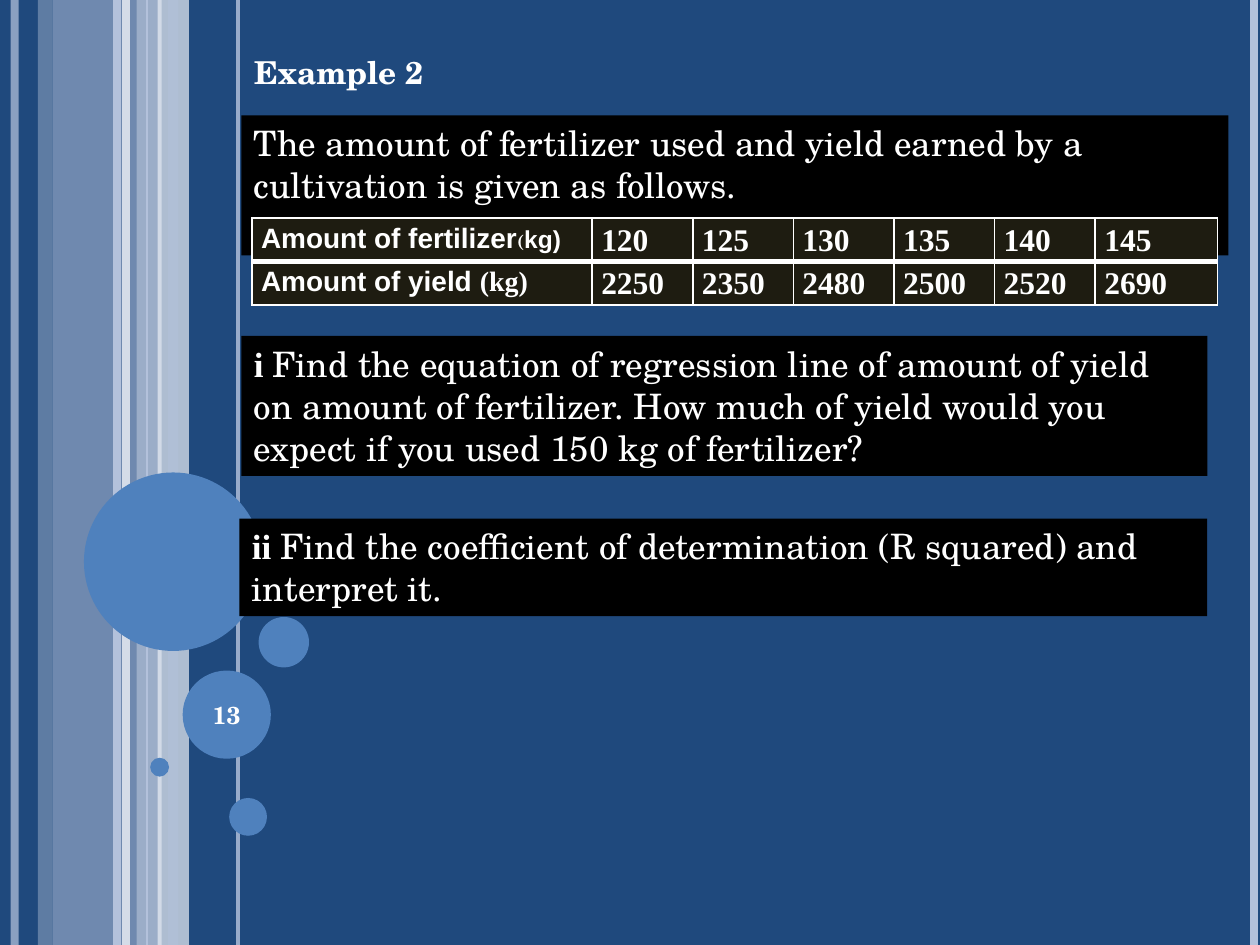
"""Build the regression exercise slide about fertilizer and yield."""
from lxml.etree import SubElement
from pptx import Presentation
from pptx.dml.color import RGBColor
from pptx.enum.shapes import MSO_CONNECTOR, MSO_SHAPE
from pptx.enum.text import MSO_ANCHOR, MSO_AUTO_SIZE, PP_ALIGN
from pptx.oxml.ns import qn
from pptx.util import Pt

NAVY = RGBColor(0x1F, 0x49, 0x7D)
BLUE = RGBColor(0x4F, 0x81, 0xBD)
MIST = RGBColor(0xB3, 0xC1, 0xDB)
PALE = RGBColor(0xD0, 0xD8, 0xE8)
ICE = RGBColor(0xE9, 0xED, 0xF4)
WHITE = RGBColor(0xFF, 0xFF, 0xFF)
BLACK = RGBColor(0, 0, 0)
CELL = RGBColor(0x1E, 0x1C, 0x11)
SERIF, SANS, TIMES = "TeX Gyre Schola", "Arial", "Times New Roman"
HEIGHT = 540


def set_opacity(shape, percent):
    color = shape._element.spPr.find(".//" + qn("a:srgbClr"))
    SubElement(color, qn("a:alpha"), val=str(percent * 1000))


def add_plain_shape(kind, left, top, width, height, color):
    shape = page.shapes.add_shape(kind, Pt(left), Pt(top), Pt(width), Pt(height))
    shape.shadow.inherit = False
    shape.fill.solid()
    shape.fill.fore_color.rgb = color
    shape.line.fill.background()
    return shape


deck = Presentation()
deck.slide_width, deck.slide_height = Pt(720), Pt(HEIGHT)
page = deck.slides.add_slide(deck.slide_layouts[5])
page.background.fill.solid()
page.background.fill.fore_color.rgb = NAVY

bands = [(30, 48, MIST, 54), (21.6, 8.2, PALE, 36), (78, 14.4, PALE, 70),
         (90, 18, ICE, 71), (96, 6, MIST, 51)]
for left, width, color, opacity in bands:
    band = add_plain_shape(MSO_SHAPE.RECTANGLE, left, 0, width, HEIGHT, color)
    set_opacity(band, opacity)

stripes = [(8.4, 4.5, MIST, 73), (72, 4.5, ICE, 83), (67, 4.5, MIST, 100),
           (136, 2.25, MIST, 82), (84, 0.75, MIST, 100), (716.4, 4.5, MIST, 100)]
for x, weight, color, opacity in stripes:
    stripe = page.shapes.add_connector(MSO_CONNECTOR.STRAIGHT, Pt(x), Pt(0), Pt(x), Pt(HEIGHT))
    stripe.line.width = Pt(weight)
    stripe.line.color.rgb = color
    set_opacity(stripe, opacity)
    SubElement(stripe._element.spPr, qn("a:effectLst"))

circles = [(48, 270, 102), (104.4, 383.2, 50.4), (85.8, 433, 10.8),
           (131, 456, 21.6), (147.8, 352.6, 28.8)]
for left, top, size in circles:
    add_plain_shape(MSO_SHAPE.OVAL, left, top, size, size, BLUE)

number_box = page.shapes.add_textbox(Pt(105.6), Pt(388), Pt(48), Pt(41))
number_box.text_frame.word_wrap = True
number_box.text_frame.vertical_anchor = MSO_ANCHOR.MIDDLE
number = number_box.text_frame.paragraphs[0]
number.text = "13"
number.alignment = PP_ALIGN.CENTER
number.font.name, number.font.size = SERIF, Pt(14)
number.font.bold, number.font.color.rgb = True, WHITE

panels = [
    (138, 66, 564, 80, "",
     "The amount of fertilizer used and yield earned by a cultivation is given as follows."),
    (138, 192, 552, 80, "i ",
     "Find the equation of regression line of amount of yield on amount of fertilizer. "
     "How much of yield would you expect if you used 150 kg of fertilizer?"),
    (136.8, 296.4, 553, 55.7, "ii ",
     "Find the coefficient of determination (R squared) and interpret it."),
]
for left, top, width, height, label, text in panels:
    panel = add_plain_shape(MSO_SHAPE.RECTANGLE, left, top, width, height, BLACK)
    panel.text_frame.word_wrap = True
    panel.text_frame.vertical_anchor = MSO_ANCHOR.TOP
    para = panel.text_frame.paragraphs[0]
    para.alignment = PP_ALIGN.LEFT
    para.font.size, para.font.color.rgb = Pt(20), WHITE
    if label:
        span = para.add_run()
        span.text = label
        span.font.name, span.font.bold = TIMES, True
    span = para.add_run()
    span.text = text
    span.font.name = SERIF

rows = [
    ([("Amount of fertilizer", SANS, 16), ("(", SERIF, 10.5), ("kg)", SANS, 14)],
     [120, 125, 130, 135, 140, 145]),
    ([("Amount of yield ", SANS, 16), ("(kg)", TIMES, 16)],
     [2250, 2350, 2480, 2500, 2520, 2690]),
]
widths = [194.4] + [57.5] * 5 + [70]
table = page.shapes.add_table(len(rows), len(widths), Pt(144), Pt(124.6),
                              Pt(sum(widths)), Pt(49.6)).table
for column, width in zip(table.columns, widths):
    column.width = Pt(width)
for row_index, (heading, values) in enumerate(rows):
    contents = [heading] + [[(str(value), TIMES, 18)] for value in values]
    thick_side = "B" if row_index == 0 else "T"
    for column_index, spans in enumerate(contents):
        cell = table.cell(row_index, column_index)
        cell.margin_left = cell.margin_right = Pt(5.2)
        cell.margin_top = cell.margin_bottom = Pt(0)
        for side in "LRTB":
            weight = Pt(3 if side == thick_side else 1)
            border = SubElement(cell._tc.get_or_add_tcPr(), qn("a:ln" + side), w=str(weight))
            border_fill = SubElement(border, qn("a:solidFill"))
            SubElement(border_fill, qn("a:srgbClr"), val=str(WHITE))
        cell.fill.solid()
        cell.fill.fore_color.rgb = CELL
        para = cell.text_frame.paragraphs[0]
        para.alignment = PP_ALIGN.JUSTIFY
        para.line_spacing = 1.15
        for text, font_name, size in spans:
            span = para.add_run()
            span.text = text
            span.font.name, span.font.size = font_name, Pt(size)
            span.font.bold, span.font.color.rgb = True, WHITE

title = page.shapes.title
title.left, title.top, title.width, title.height = Pt(138), Pt(26.6), Pt(113), Pt(29)
title.text_frame.word_wrap = False
title.text_frame.auto_size = MSO_AUTO_SIZE.NONE
title.text_frame.vertical_anchor = MSO_ANCHOR.TOP
heading = title.text_frame.paragraphs[0]
heading.text = "Example 2"
heading.alignment = PP_ALIGN.LEFT
heading.font.name, heading.font.size = SERIF, Pt(18)
heading.font.bold, heading.font.color.rgb = True, WHITE

deck.save("out.pptx")
